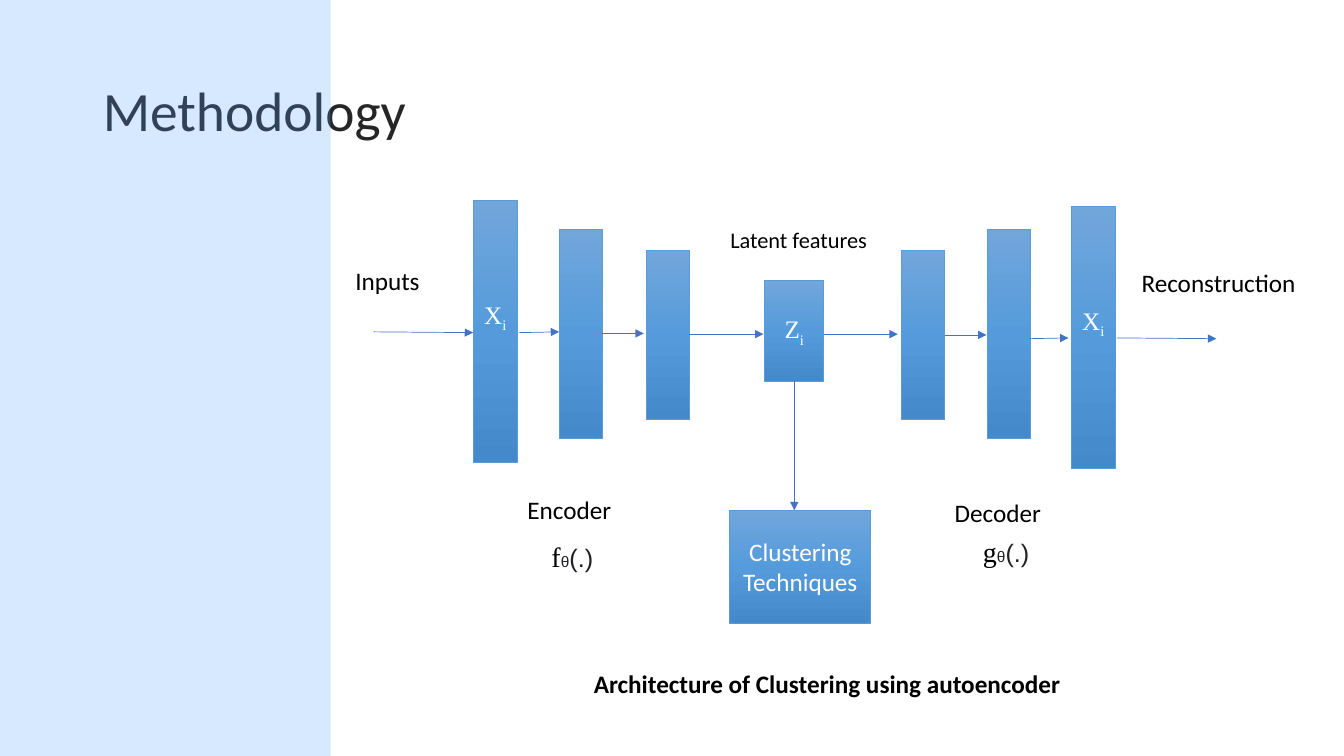
from copy import deepcopy
from pptx import Presentation
from pptx.dml.color import RGBColor
from pptx.enum.shapes import MSO_CONNECTOR, MSO_SHAPE
from pptx.enum.text import MSO_ANCHOR, PP_ALIGN
from pptx.oxml.ns import qn
from pptx.util import Inches, Pt
from lxml.etree import SubElement

prs = Presentation()
prs.slide_width, prs.slide_height = 12192000, 6858000
C, R = prs.slide_width / 100, prs.slide_height / 100
rgb = RGBColor.from_string
s = prs.slides.add_slide(prs.slide_layouts[5])


def place(*box):
    return [round(v * unit) for v, unit in zip(box, (C, R, C, R))]


def write(tf, *paras, font="Calibri", size=18, color="000000", bold=False,
          align=PP_ALIGN.LEFT, anchor=MSO_ANCHOR.TOP, spacing=None):
    tf.word_wrap = True
    tf.vertical_anchor = anchor
    for n, runs in enumerate(paras):
        p = tf.add_paragraph() if n else tf.paragraphs[0]
        p.alignment = align
        p.line_spacing = spacing
        for text, fmt in [(runs, {})] if isinstance(runs, str) else runs:
            r = p.add_run()
            r.text = text
            r.font.name = fmt.get("font", font)
            r.font.size = Pt(fmt.get("size", size))
            r.font.bold = bold
            r.font.color.rgb = rgb(fmt.get("color", color))
            if "base" in fmt:
                r._r.get_or_add_rPr().set("baseline", str(fmt["base"] * 1000))


title = s.shapes.title
title.left, title.top, title.width, title.height = place(6.9, 5.3, 86.2, 19.3)
write(title.text_frame, "Methodology", size=39.6, color="262626",
      anchor=MSO_ANCHOR.MIDDLE, spacing=0.9)

panel = s.shapes.add_shape(MSO_SHAPE.RECTANGLE, *place(0, 0, 24.6, 100))
panel.shadow.inherit = False
panel.fill.solid()
panel.fill.fore_color.rgb = rgb("54A0FF")
panel.line.fill.background()
SubElement(panel._element.spPr.find(".//" + qn("a:srgbClr")), qn("a:alpha")).set("val", "23000")

sub = {"base": -25}
x_i, z_i = [("X", {}), ("i", sub)], [("Z", {}), ("i", sub)]
serif = "Times New Roman"
blocks = [
    ((35.2, 26.5, 3.3, 34.7), [x_i], serif, 0.3),
    ((41.6, 30.3, 3.2, 27.7), [], serif, 0),
    ((48.1, 33.1, 3.2, 22.4), [], serif, 0),
    ((56.9, 37.1, 4.4, 13.3), [z_i], serif, 0),
    ((67.1, 33.1, 3.2, 22.4), [], serif, 0),
    ((73.5, 30.3, 3.2, 27.7), [], serif, 0),
    ((79.7, 27.3, 3.3, 34.7), [x_i], serif, 0.3),
    ((54.3, 67.5, 10.5, 14.9), ["Clustering", "Techniques"], "Calibri", 0),
]
for box, paras, font, bottom in blocks:
    sp = s.shapes.add_shape(MSO_SHAPE.RECTANGLE, *place(*box))
    sp.shadow.inherit = False
    sp.fill.gradient()
    sp.fill.gradient_angle = 270
    stops = sp._element.spPr.find(".//" + qn("a:gsLst"))
    stops.insert(1, deepcopy(stops[0]))
    for n, (stop, color) in enumerate(zip(sp.fill.gradient_stops, ("71A6DB", "559BDB", "448ACA"))):
        stop.position = n / 2
        stop.color.rgb = rgb(color)
    sp.line.color.rgb = rgb("5B9BD5")
    sp.line.width = Pt(0.5)
    tf = sp.text_frame
    tf.margin_left = tf.margin_right = tf.margin_top = 0
    tf.margin_bottom = Inches(bottom)
    write(tf, *paras, font=font, color="FFFFFF", align=PP_ALIGN.CENTER, anchor=MSO_ANCHOR.MIDDLE)

arrows = [
    (27.8, 43.9, 35.2, 44), (38.6, 44, 41.6, 43.9), (44.8, 44.1, 47.9, 44.1),
    (51.3, 44.2, 56.8, 44.2), (61.3, 44.2, 66.8, 44.2), (70.3, 44.3, 73.4, 44.3),
    (76.6, 44.8, 79.5, 44.7), (83.1, 44.7, 90.5, 44.8), (59.1, 50.4, 59.1, 67.5),
]
for ends in arrows:
    cx = s.shapes.add_connector(MSO_CONNECTOR.STRAIGHT, *place(*ends))
    cx.line.color.rgb = rgb("4472C4")
    cx.line.width = Pt(0.5)
    SubElement(cx.line._get_or_add_ln(), qn("a:tailEnd")).set("type", "triangle")
    SubElement(cx._element.spPr, qn("a:effectLst"))

theta = [("θ", {"font": "Arial", "size": 11, "color": "202124"}),
         ("(.)", {"font": "Arial", "color": "202124"})]
f_theta, g_theta = [[(name, {"font": serif, "size": 20})] + theta for name in "fg"]
labels = [
    ((25.7, 34.4, 9.5, 5.3), "Inputs", {}),
    ((53.6, 29.3, 12.2, 4.9), "Latent features", {"size": 16}),
    ((84.2, 34.7, 15.8, 5.3), "Reconstruction", {}),
    ((38.5, 64.8, 10.5, 5.3), "Encoder", {}),
    ((70.3, 65.1, 8.9, 5.3), "Decoder", {}),
    ((40.3, 70.7, 6, 6), f_theta, {}),
    ((72.4, 70.1, 6.8, 6), g_theta, {}),
    ((40.6, 87.7, 41.9, 5.3), "Architecture of Clustering using autoencoder",
     {"bold": True, "align": PP_ALIGN.CENTER}),
]
for box, text, fmt in labels:
    write(s.shapes.add_textbox(*place(*box)).text_frame, text, **fmt)

prs.save("out.pptx")
